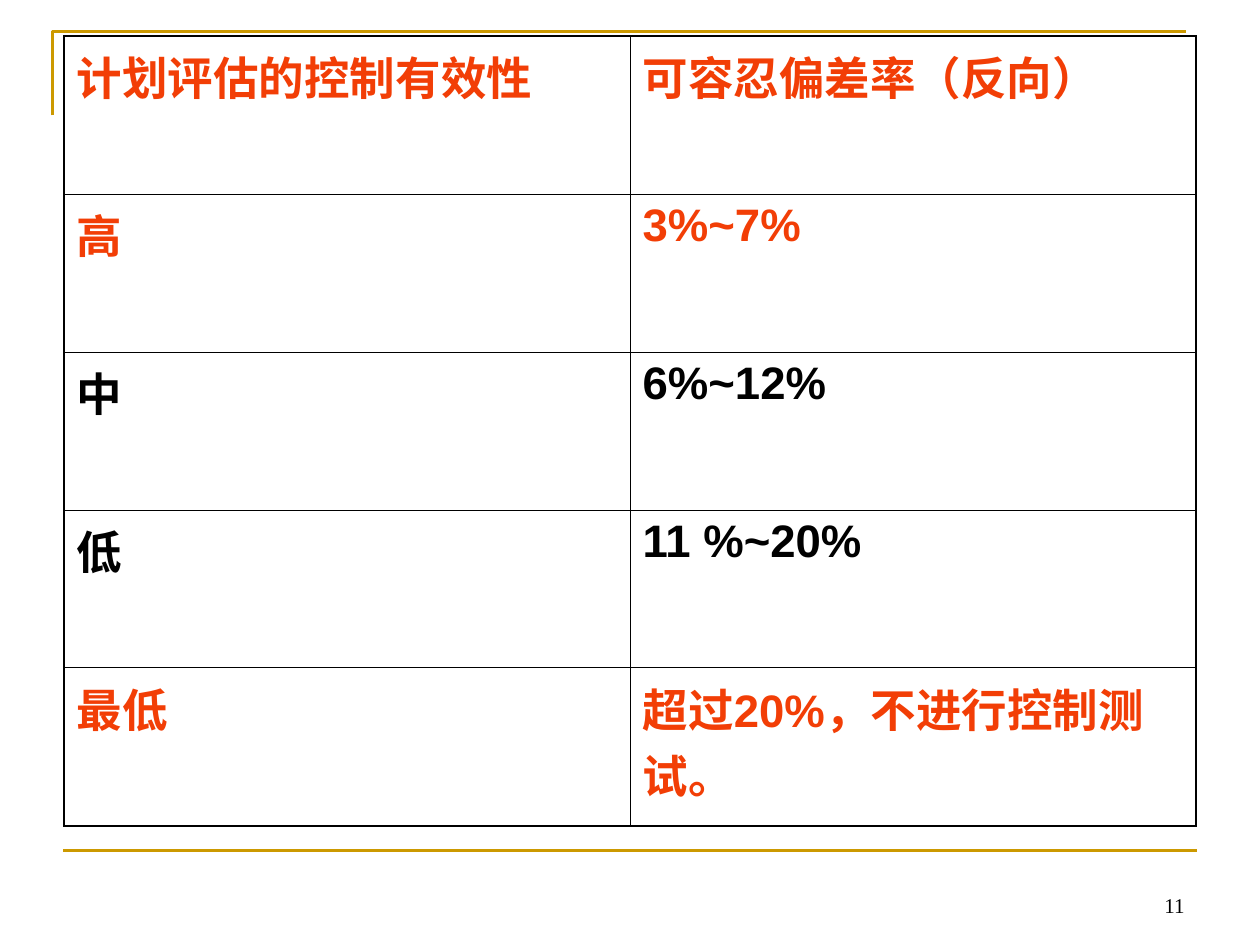
from lxml.etree import SubElement
from pptx import Presentation
from pptx.dml.color import RGBColor
from pptx.enum.shapes import MSO_CONNECTOR as Connector
from pptx.enum.text import MSO_ANCHOR as Anchor, PP_ALIGN as Align
from pptx.oxml.ns import qn
from pptx.util import Pt

GOLD = RGBColor(0xCC, 0x99, 0x00)
ORANGE = RGBColor(0xF2, 0x3E, 0x06)
BLACK = RGBColor(0x00, 0x00, 0x00)

OUTER, INNER = 1.08, 0.45  # table border widths in points
COLUMN_WIDTH, ROW_HEIGHT = 323.3, 90.3

ROWS = [
    ("计划评估的控制有效性", "可容忍偏差率（反向）", ORANGE),
    ("高", "3%~7%", ORANGE),
    ("中", "6%~12%", BLACK),
    ("低", "11 %~20%", BLACK),
    ("最低", "超过20%，不进行控制测试。", ORANGE),
]


def add_span(para, text, size, font, color, bold=False):
    span = para.add_run()
    span.text = text
    span.font.size = Pt(size)
    span.font.name = font
    span.font.bold = bold
    span.font.color.rgb = color


def style_line(line):
    line.color.rgb = GOLD
    line.width = Pt(1.5)


def add_corner(page, points):
    points = [(Pt(x), Pt(y)) for x, y in points]
    builder = page.shapes.build_freeform(*points[0])
    builder.add_line_segments(points[1:], close=False)
    corner = builder.convert_to_shape()
    corner.shadow.inherit = False
    corner.fill.background()
    style_line(corner.line)


def add_rule(page, left, right, y):
    rule = page.shapes.add_connector(
        Connector.STRAIGHT, Pt(left), Pt(y), Pt(right), Pt(y))
    style_line(rule.line)
    SubElement(rule._element.spPr, qn("a:effectLst"))


def add_page_number(page, text):
    box = page.shapes.add_textbox(Pt(516), Pt(492), Pt(168), Pt(36))
    frame = box.text_frame
    frame.word_wrap = True
    frame.vertical_anchor = Anchor.BOTTOM
    para = frame.paragraphs[0]
    para.alignment = Align.RIGHT
    add_span(para, text, 12, "Times New Roman", BLACK)


def add_borders(cell, widths):
    properties = cell._tc.get_or_add_tcPr()
    for side, width in widths.items():
        border = SubElement(properties, qn(f"a:ln{side}"), w=str(Pt(width)))
        fill = SubElement(border, qn("a:solidFill"))
        SubElement(fill, qn("a:srgbClr"), val=str(BLACK))


def add_rate_table(page, left, top):
    row_count, column_count = len(ROWS), 2
    table = page.shapes.add_table(
        row_count, column_count, Pt(left), Pt(top),
        Pt(COLUMN_WIDTH * column_count), Pt(ROW_HEIGHT * row_count)).table
    table.first_row = table.horz_banding = False
    for column in table.columns:
        column.width = Pt(COLUMN_WIDTH)

    for i, (*texts, color) in enumerate(ROWS):
        table.rows[i].height = Pt(ROW_HEIGHT)
        for j, text in enumerate(texts):
            cell = table.cell(i, j)
            add_borders(cell, {
                "L": OUTER if j == 0 else INNER,
                "R": OUTER if j == column_count - 1 else INNER,
                "T": OUTER if i == 0 else INNER,
                "B": OUTER if i == row_count - 1 else INNER,
            })
            cell.fill.background()
            add_span(cell.text_frame.paragraphs[0], text, 26, "Arial", color, True)


def main():
    deck = Presentation()
    deck.slide_width, deck.slide_height = Pt(720), Pt(540)
    page = deck.slides.add_slide(deck.slide_layouts[6])

    # Gold frame lines
    add_corner(page, [(30, 66), (30, 18), (678, 18)])
    add_rule(page, 36, 684, 486)

    # Page number and table
    add_page_number(page, "11")
    add_rate_table(page, 36.75, 20.5)

    deck.save("out.pptx")


if __name__ == "__main__":
    main()
